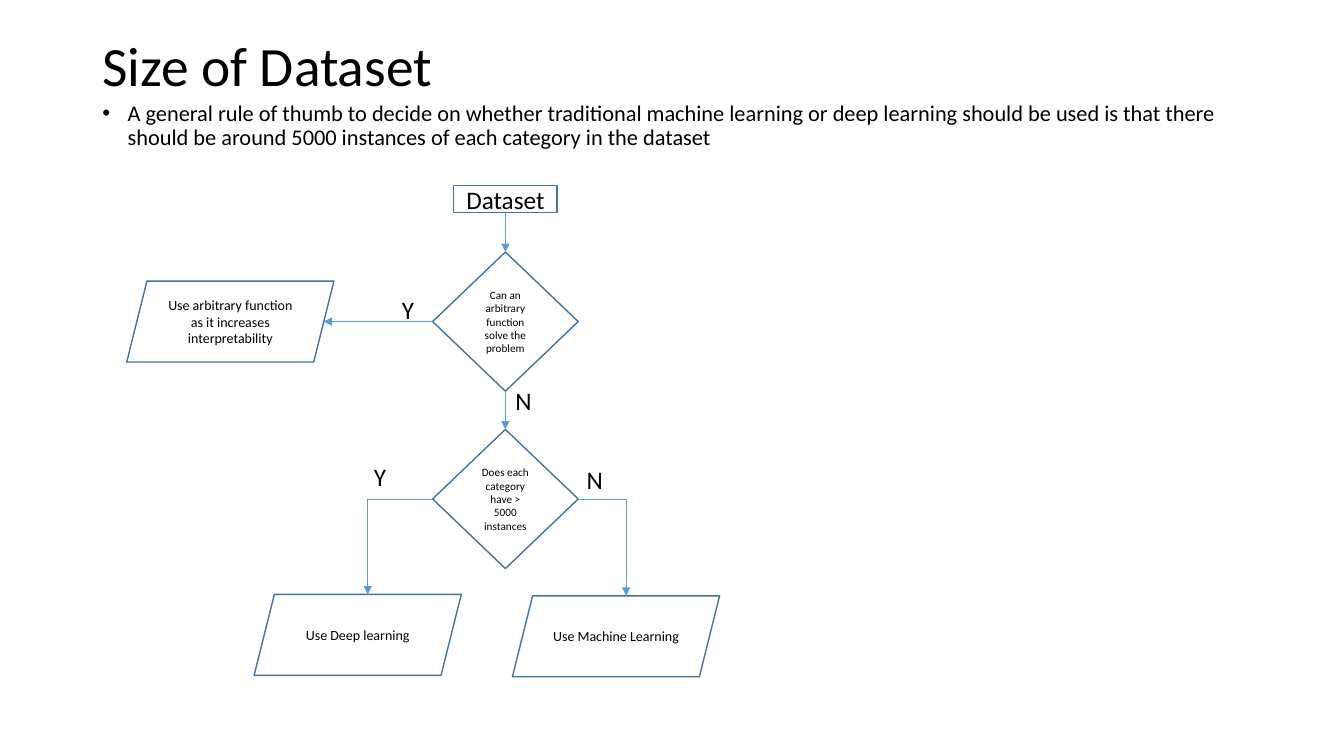
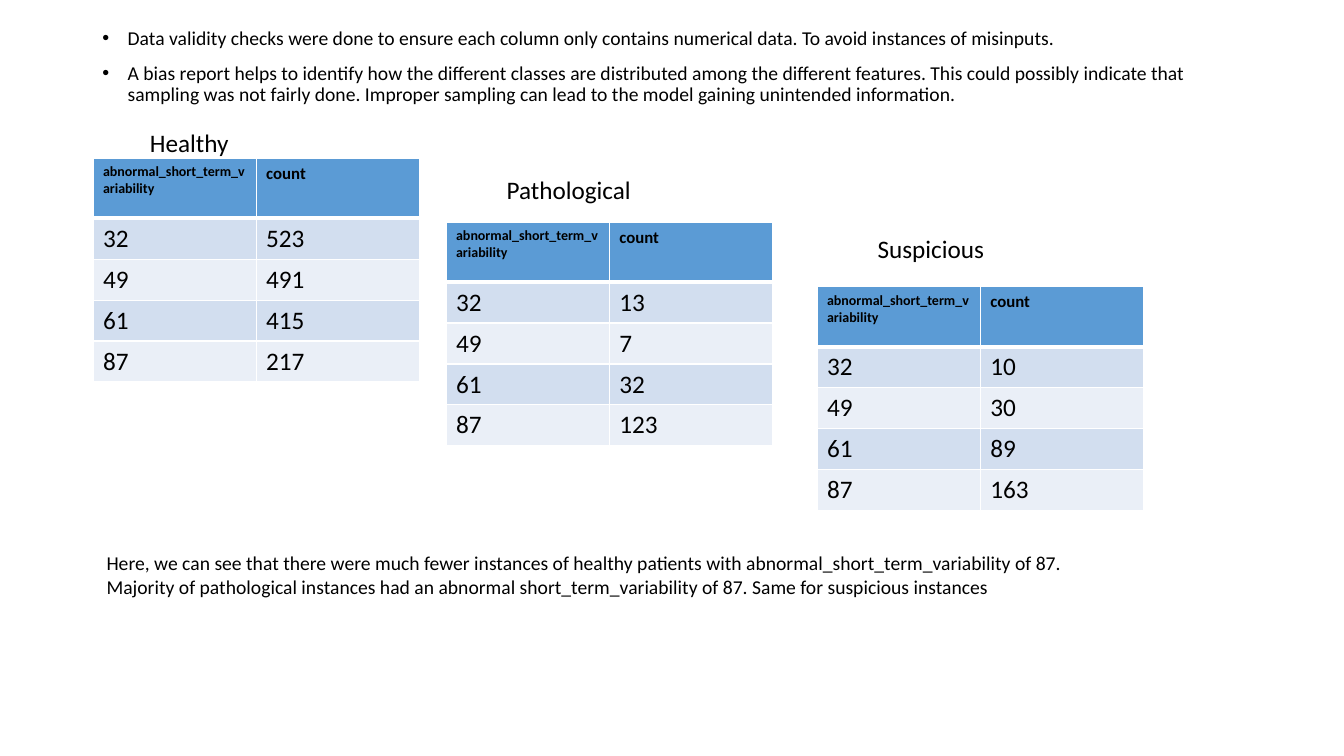
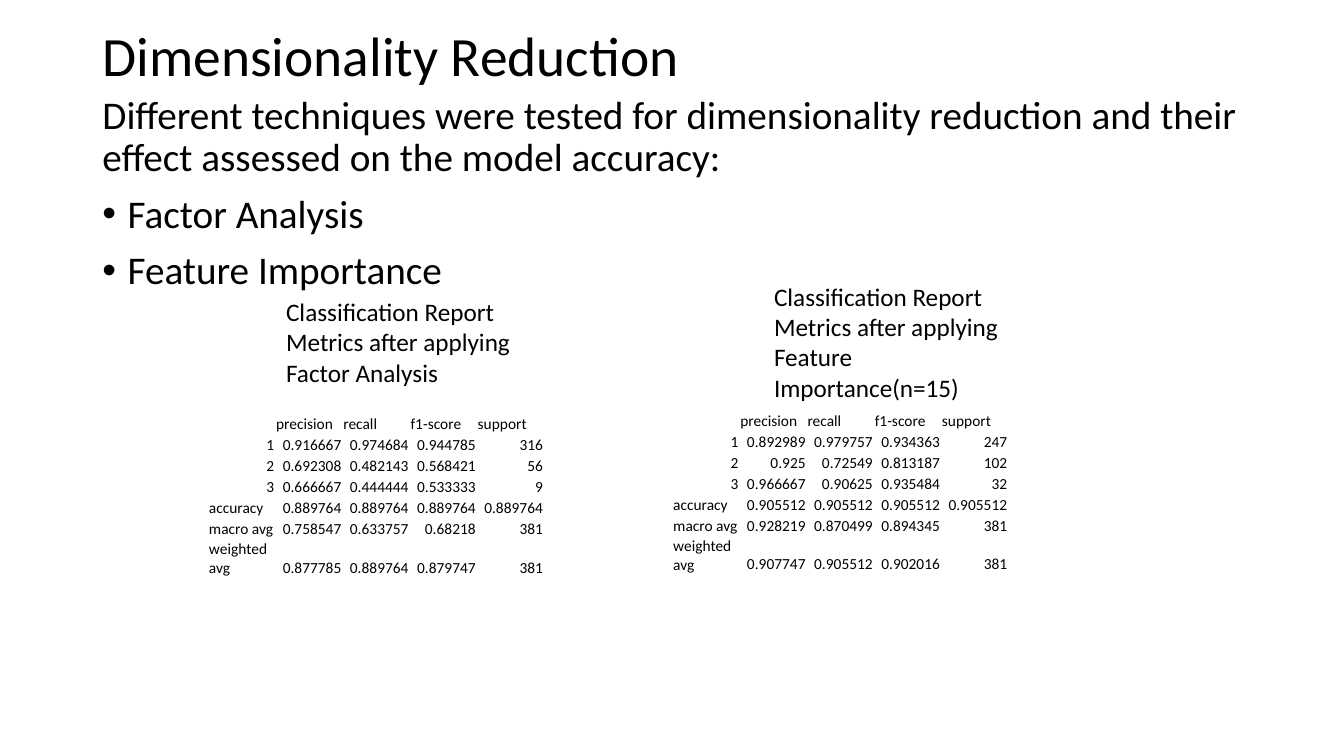
from dataclasses import dataclass

from lxml import etree
from pptx import Presentation
from pptx import util as u
from pptx.dml.color import RGBColor
from pptx.enum import shapes, text
from pptx.oxml import ns

Pt = u.Pt
Kind = shapes.MSO_SHAPE
Align = text.PP_ALIGN
Anchor = text.MSO_ANCHOR

# Shared style
FONT = "Calibri"
BLACK = RGBColor(0x00, 0x00, 0x00)
WHITE = RGBColor(0xFF, 0xFF, 0xFF)
OUTLINE = RGBColor(0x43, 0x73, 0x9E)
ACCENT = RGBColor(0x5B, 0x9B, 0xD5)
BAND_DARK = RGBColor(0xD2, 0xDE, 0xEF)
BAND_LIGHT = RGBColor(0xEA, 0xEF, 0xF7)
MARGIN, CONTENT_WIDTH = 66, 828
TITLE_SIZE = 39.6
INDENT = 18
TOP, LEFT, BOTTOM, RIGHT = range(4)
PARALLELOGRAM_TOP = 1


@dataclass(frozen=True)
class Node:
    kind: Kind
    left: float
    top: float
    width: float
    height: float
    label: str
    size: float


@dataclass(frozen=True)
class Caption:
    left: float
    top: float
    width: float
    height: float
    label: str
    size: float = 18


@dataclass(frozen=True)
class CountTable:
    left: float
    top: float
    counts: tuple[int, ...]
    caption: Caption


@dataclass(frozen=True)
class Report:
    left: float
    top: float
    rows: tuple[str, ...]
    caption: Caption


def style(paragraph, size: float, bold: bool = False, align=Align.LEFT) -> None:
    paragraph.alignment = align
    font = paragraph.font
    font.name, font.size, font.bold = FONT, Pt(size), bold
    font.color.rgb = BLACK


def place(shape, left: float, top: float, width: float, height: float) -> None:
    shape.left, shape.top = Pt(left), Pt(top)
    shape.width, shape.height = Pt(width), Pt(height)


def set_bullet(paragraph, bulleted: bool) -> None:
    props = paragraph._p.get_or_add_pPr()
    indent = Pt(INDENT) if bulleted else 0
    props.set("marL", str(indent))
    props.set("indent", str(-indent))
    tag = "a:buChar" if bulleted else "a:buNone"
    bullet = etree.Element(ns.qn(tag))
    if bulleted:
        bullet.set("char", "•")
    # Bullets come before the default run properties
    props.find(ns.qn("a:defRPr")).addprevious(bullet)


def add_title(slide, heading: str, top: float, height: float) -> None:
    title = slide.shapes.title
    place(title, MARGIN, top, CONTENT_WIDTH, height)
    frame = title.text_frame
    frame.text = heading
    frame.auto_size = text.MSO_AUTO_SIZE.NONE
    frame.vertical_anchor = Anchor.MIDDLE
    style(frame.paragraphs[0], TITLE_SIZE)
    frame.paragraphs[0].line_spacing = 0.9


def add_body(slide, items: list[str], top: float, height: float,
             size: float, plain: int = 0) -> None:
    """Fill the body; the first `plain` paragraphs carry no bullet."""
    body = slide.placeholders[1]
    place(body, MARGIN, top, CONTENT_WIDTH, height)
    frame = body.text_frame
    frame.text = "\n".join(items)
    frame.auto_size = text.MSO_AUTO_SIZE.NONE
    for index, paragraph in enumerate(frame.paragraphs):
        style(paragraph, size)
        paragraph.line_spacing = 0.9
        paragraph.space_before = Pt(10)
        set_bullet(paragraph, index >= plain)


def add_caption(slide, caption: Caption) -> None:
    box = slide.shapes.add_textbox(Pt(caption.left), Pt(caption.top),
                                   Pt(caption.width), Pt(caption.height))
    box.text_frame.word_wrap = True
    box.text_frame.text = caption.label
    style(box.text_frame.paragraphs[0], caption.size)


def add_node(slide, node: Node):
    shape = slide.shapes.add_shape(node.kind, Pt(node.left), Pt(node.top),
                                   Pt(node.width), Pt(node.height))
    shape.shadow.inherit = False
    shape.fill.solid()
    shape.fill.fore_color.rgb = WHITE
    shape.line.color.rgb = OUTLINE
    shape.line.width = Pt(1)
    frame = shape.text_frame
    frame.word_wrap = True
    frame.vertical_anchor = Anchor.MIDDLE
    frame.text = node.label
    style(frame.paragraphs[0], node.size, align=Align.CENTER)
    return shape


def add_arrow(slide, source, source_side: int, target, target_side: int):
    """Join two sides with a straight arrow."""
    arrow = slide.shapes.add_connector(shapes.MSO_CONNECTOR.STRAIGHT, 0, 0, 0, 0)
    arrow.begin_connect(source, source_side)
    arrow.end_connect(target, target_side)
    finish_arrow(arrow)


def add_arrow_to(slide, source, source_side: int, x: float, y: float,
                 elbow_target=None) -> None:
    """Lead an arrow to a point, with one bend if it ends on elbow_target."""
    kind = shapes.MSO_CONNECTOR.ELBOW if elbow_target else shapes.MSO_CONNECTOR.STRAIGHT
    arrow = slide.shapes.add_connector(kind, 0, 0, 0, 0)
    arrow.begin_connect(source, source_side)
    if elbow_target:
        arrow.end_connect(elbow_target, PARALLELOGRAM_TOP)
        geometry = arrow._element.spPr.find(ns.qn("a:prstGeom"))
        geometry.set("prst", "bentConnector2")
    arrow.end_x, arrow.end_y = Pt(x), Pt(y)
    finish_arrow(arrow)


def finish_arrow(arrow) -> None:
    arrow.line.color.rgb = ACCENT
    arrow.line.width = Pt(0.5)
    line = arrow.line._get_or_add_ln()
    etree.SubElement(line, ns.qn("a:tailEnd"), type="triangle")
    etree.SubElement(arrow._element.spPr, ns.qn("a:effectLst"))


def add_table(slide, left: float, top: float, row_heights: list[float],
              columns: int, column_width: float):
    table = slide.shapes.add_table(
        len(row_heights), columns, Pt(left), Pt(top),
        Pt(columns * column_width), Pt(sum(row_heights))).table
    table.first_row = table.horz_banding = False
    for row, height in zip(table.rows, row_heights):
        row.height = Pt(height)
    return table


def set_borders(cell, top: float, bottom: float) -> None:
    props = cell._tc.get_or_add_tcPr()
    widths = {"a:lnL": 1, "a:lnR": 1, "a:lnT": top, "a:lnB": bottom}
    for index, (tag, width) in enumerate(widths.items()):
        border = etree.Element(ns.qn(tag), w=str(Pt(width)))
        fill = etree.SubElement(border, ns.qn("a:solidFill"))
        etree.SubElement(fill, ns.qn("a:srgbClr"), val=str(WHITE))
        props.insert(index, border)


def add_count_table(slide, group: CountTable) -> None:
    rows = [("abnormal_short_term_variability", "count"),
            *zip(VARIABILITIES, group.counts)]
    table = add_table(slide, group.left, group.top, [42.8] + [29.2] * 4, 2, 116.6)
    for r, values in enumerate(rows):
        for c, value in enumerate(values):
            cell = table.cell(r, c)
            cell.text = str(value)
            cell.fill.solid()
            band = BAND_DARK if r % 2 else BAND_LIGHT
            cell.fill.fore_color.rgb = band if r else ACCENT
            size = 18 if r else (10, 12)[c]
            style(cell.text_frame.paragraphs[0], size, bold=r == 0)
            set_borders(cell, 3 if r == 1 else 1, 1 if r else 3)


def add_report(slide, report: Report) -> None:
    table = add_table(slide, report.left, report.top, [15] * 7, 5, 48)
    rows = [("", *METRICS)]
    rows += [(name, *values.split()) for name, values in zip(REPORT_ROWS, report.rows)]
    for r, values in enumerate(rows):
        for c, value in enumerate(values):
            cell = table.cell(r, c)
            cell.text = value
            cell.fill.background()
            cell.vertical_anchor = Anchor.BOTTOM
            cell.margin_left = cell.margin_right = cell.margin_top = Pt(0.7)
            cell.margin_bottom = 0
            numeric = value[:1].isdigit()
            style(cell.text_frame.paragraphs[0], 11,
                  align=Align.RIGHT if numeric else Align.LEFT)


# Content
DATASET = Node(Kind.RECTANGLE, 324, 132.5, 74, 19.4, "Dataset", 18)
SOLVABLE = Node(Kind.DIAMOND, 309, 180, 104, 99.4,
                "Can an arbitrary function solve the problem", 8)
ENOUGH = Node(Kind.DIAMOND, 309, 306.7, 104, 99.4,
              "Does each category have > 5000 instances", 8)
ARBITRARY = Node(Kind.PARALLELOGRAM, 90.5, 200.8, 148, 57.8,
                 "Use arbitrary function as it increases interpretability", 10)
DEEP = Node(Kind.PARALLELOGRAM, 181.5, 424.6, 148, 57.8, "Use Deep learning", 10)
MACHINE = Node(Kind.PARALLELOGRAM, 366, 425.6, 148, 57.8, "Use Machine Learning", 10)
SLANT = 57.8 / 8  # half the slant: how far edge middles lie from the box middles

BRANCHES = [Caption(left, top, 24, 28.8, label) for left, top, label in (
    (280, 206.8, "Y"), (260, 325.8, "Y"), (361, 271.8, "N"), (412, 327.8, "N"))]

VARIABILITIES = (32, 49, 61, 87)
COUNT_TABLES = (
    CountTable(66.4, 113.2, (523, 491, 415, 217),
               Caption(100, 87.4, 160.6, 28.8, "Healthy")),
    CountTable(318.6, 158.8, (13, 7, 32, 123),
               Caption(354.8, 121, 160.6, 28.8, "Pathological")),
    CountTable(583.6, 204.9, (10, 30, 89, 163),
               Caption(619.8, 163.4, 160.6, 28.8, "Suspicious")),
)

METRICS = ("precision", "recall", "f1-score", "support")
REPORT_ROWS = ("1", "2", "3", "accuracy", "macro avg", "weighted avg")
REPORTS = (
    Report(148.6, 294.7, (
        "0.916667 0.974684 0.944785 316",
        "0.692308 0.482143 0.568421 56",
        "0.666667 0.444444 0.533333 9",
        "0.889764 0.889764 0.889764 0.889764",
        "0.758547 0.633757 0.68218 381",
        "0.877785 0.889764 0.879747 381"),
        Caption(197.3, 208.2, 191, 72.7,
                "Classification Report Metrics after applying Factor Analysis")),
    Report(480.2, 292.4, (
        "0.892989 0.979757 0.934363 247",
        "0.925 0.72549 0.813187 102",
        "0.966667 0.90625 0.935484 32",
        "0.905512 0.905512 0.905512 0.905512",
        "0.928219 0.870499 0.894345 381",
        "0.907747 0.905512 0.902016 381"),
        Caption(545.8, 197.3, 191, 94.3,
                "Classification Report Metrics after applying "
                "Feature Importance(n=15)")),
)


def build_dataset_size(slide) -> None:
    add_title(slide, "Size of Dataset", 28.8, 40.3)
    add_body(slide, ["A general rule of thumb to decide on whether traditional machine "
                     "learning or deep learning should be used is that there should be "
                     "around 5000 instances of each category in the dataset"],
             69.1, 416.9, 16)
    dataset, solvable, _, enough, deep, machine = (
        add_node(slide, node)
        for node in (DATASET, SOLVABLE, ARBITRARY, ENOUGH, DEEP, MACHINE))
    add_arrow_to(slide, solvable, LEFT, ARBITRARY.left + ARBITRARY.width - SLANT,
                 SOLVABLE.top + SOLVABLE.height / 2)
    add_arrow(slide, dataset, BOTTOM, solvable, TOP)
    add_arrow(slide, solvable, BOTTOM, enough, TOP)
    for side, node, outcome in ((LEFT, DEEP, deep), (RIGHT, MACHINE, machine)):
        add_arrow_to(slide, enough, side, node.left + node.width / 2 + SLANT,
                     node.top, outcome)
    for branch in BRANCHES:
        add_caption(slide, branch)


def build_bias_report(slide) -> None:
    title = slide.shapes.title._element
    title.getparent().remove(title)
    add_body(slide, ["Data validity checks were done to ensure each column only contains "
                     "numerical data. To avoid instances of misinputs.",
                     "A bias report helps to identify how the different classes are "
                     "distributed among the different features. This could possibly "
                     "indicate that sampling was not fairly done. Improper sampling can "
                     "lead to the model gaining unintended information."],
             16.6, 470, 14)
    for group in COUNT_TABLES:
        add_count_table(slide, group)
        add_caption(slide, group.caption)
    add_caption(slide, Caption(
        69, 390.2, 702, 41,
        "Here, we can see that there were much fewer instances of healthy patients with "
        "abnormal_short_term_variability of 87. Majority of pathological instances had an "
        "abnormal short_term_variability of 87. Same for suspicious instances", 14))


def build_reduction(slide) -> None:
    add_title(slide, "Dimensionality Reduction", 28.8, 26)
    add_body(slide, ["Different techniques were tested for dimensionality reduction and "
                     "their effect assessed on the model accuracy:",
                     "Factor Analysis", "Feature Importance"],
             64.8, 455, 28, plain=1)
    for report in REPORTS:
        add_report(slide, report)
        add_caption(slide, report.caption)


def main() -> None:
    deck = Presentation()
    deck.slide_width, deck.slide_height = Pt(960), Pt(540)
    for build in (build_dataset_size, build_bias_report, build_reduction):
        build(deck.slides.add_slide(deck.slide_layouts[1]))
    deck.save("out.pptx")


if __name__ == "__main__":
    main()
